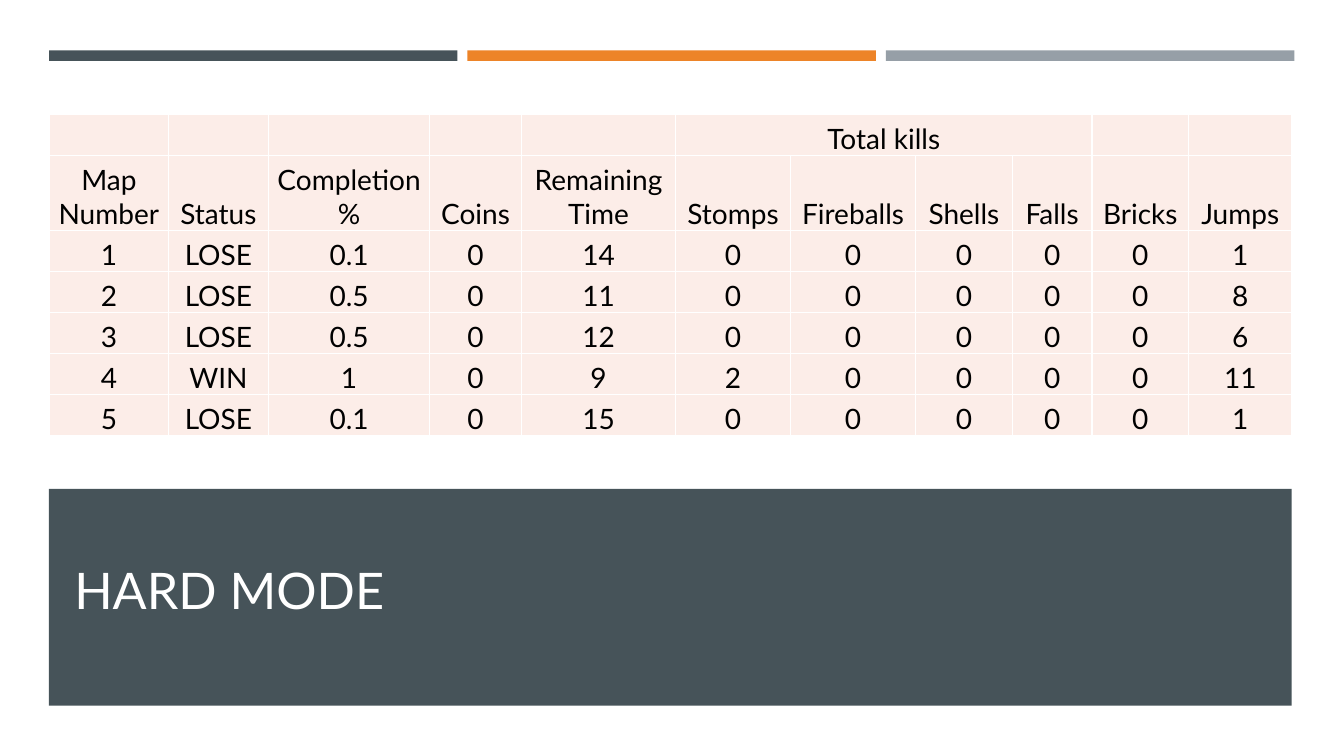
from dataclasses import dataclass

from lxml import etree
from pptx import Presentation
from pptx.dml.color import RGBColor
from pptx.enum import shapes, text
from pptx.oxml import ns
from pptx.util import Pt


@dataclass(frozen=True)
class Theme:
    font: str = "Lato"
    title_size: float = 36
    table_size: float = 20
    border_width: float = 1
    white: str = "FFFFFF"
    black: str = "000000"
    slate: str = "465359"
    orange: str = "ED8428"
    grey: str = "969FA7"
    cell: str = "FCEDE8"


THEME = Theme()
SLIDE_WIDTH, SLIDE_HEIGHT = 960, 540

COLUMN_WIDTHS = [85, 71.5, 115.2, 65.5, 110.2, 82.1, 89.3, 69.1, 56.9, 69.1, 73.8]
ROW_HEIGHT, HEADER_HEIGHT = 29.4, 53.3
KILLS_FIRST, KILLS_LAST = 5, 8
GROUPS = [""] * KILLS_FIRST + ["Total kills"] + [""] * 5
HEADERS = ["Map Number", "Status", "Completion %", "Coins", "Remaining Time",
           "Stomps", "Fireballs", "Shells", "Falls", "Bricks", "Jumps"]
RESULTS = [
    [1, "LOSE", 0.1, 0, 14, 0, 0, 0, 0, 0, 1],
    [2, "LOSE", 0.5, 0, 11, 0, 0, 0, 0, 0, 8],
    [3, "LOSE", 0.5, 0, 12, 0, 0, 0, 0, 0, 6],
    [4, "WIN", 1, 0, 9, 2, 0, 0, 0, 0, 11],
    [5, "LOSE", 0.1, 0, 15, 0, 0, 0, 0, 0, 1],
]


def add_run(paragraph, words, size, color):
    run = paragraph.add_run()
    run.text = words
    run.font.name = THEME.font
    run.font.size = Pt(size)
    run.font.color.rgb = RGBColor.from_string(color)


def add_block(slide, left, top, width, height, color):
    block = slide.shapes.add_shape(shapes.MSO_SHAPE.RECTANGLE,
                                   Pt(left), Pt(top), Pt(width), Pt(height))
    block.shadow.inherit = False
    block.fill.solid()
    block.fill.fore_color.rgb = RGBColor.from_string(color)
    block.line.fill.background()


def add_accent_bars(slide, left, top, width, height):
    gap = 7.2
    colors = [THEME.slate, THEME.orange, THEME.grey]
    bar_width = (width - gap * (len(colors) - 1)) / len(colors)
    for index, color in enumerate(colors):
        add_block(slide, left + index * (bar_width + gap), top, bar_width, height, color)


def add_title_panel(slide, left, top, width, height):
    add_block(slide, left, top, width, height, THEME.slate)
    title = slide.shapes.add_textbox(Pt(left + 11), Pt(top + 13.7),
                                     Pt(width - 22), Pt(84.2))
    frame = title.text_frame
    frame.word_wrap = True
    frame.vertical_anchor = text.MSO_ANCHOR.BOTTOM
    paragraph = frame.paragraphs[0]
    paragraph.line_spacing = 0.9
    add_run(paragraph, "HARD MODE", THEME.title_size, THEME.white)


def add_borders(cell):
    properties = cell._tc.get_or_add_tcPr()
    for side in ("lnL", "lnR", "lnT", "lnB"):
        line = etree.SubElement(properties, ns.qn(f"a:{side}"),
                                w=str(Pt(THEME.border_width)))
        fill = etree.SubElement(line, ns.qn("a:solidFill"))
        etree.SubElement(fill, ns.qn("a:srgbClr"), val=THEME.white)


def format_cell(cell, words):
    cell.margin_left = cell.margin_right = cell.margin_top = Pt(1.4)
    cell.margin_bottom = 0
    cell.vertical_anchor = text.MSO_ANCHOR.BOTTOM
    add_borders(cell)
    cell.fill.solid()
    cell.fill.fore_color.rgb = RGBColor.from_string(THEME.cell)
    paragraph = cell.text_frame.paragraphs[0]
    paragraph.alignment = text.PP_ALIGN.CENTER
    if words:
        add_run(paragraph, words, THEME.table_size, THEME.black)


def add_results_table(slide, left, top, width, height):
    rows = [GROUPS, HEADERS, *RESULTS]
    table = slide.shapes.add_table(len(rows), len(HEADERS), Pt(left), Pt(top),
                                   Pt(width), Pt(height)).table
    table.first_row = False
    table.horz_banding = False
    for column, share in zip(table.columns, COLUMN_WIDTHS):
        column.width = Pt(width * share / sum(COLUMN_WIDTHS))
    for row_index, values in enumerate(rows):
        table.rows[row_index].height = Pt(HEADER_HEIGHT if values is HEADERS else ROW_HEIGHT)
        for column_index, value in enumerate(values):
            format_cell(table.cell(row_index, column_index), str(value))
    table.cell(0, KILLS_FIRST).merge(table.cell(0, KILLS_LAST))


def main():
    presentation = Presentation()
    presentation.slide_width = Pt(SLIDE_WIDTH)
    presentation.slide_height = Pt(SLIDE_HEIGHT)
    slide = presentation.slides.add_slide(presentation.slide_layouts[6])
    add_block(slide, 0, 0, SLIDE_WIDTH, SLIDE_HEIGHT, THEME.white)
    add_accent_bars(slide, 35, 36, 889.5, 7.5)
    add_title_panel(slide, 35, 349.2, 887.7, 154.8)
    add_results_table(slide, 35.3, 81.7, 887.7, 229.7)
    presentation.save("out.pptx")


if __name__ == "__main__":
    main()
